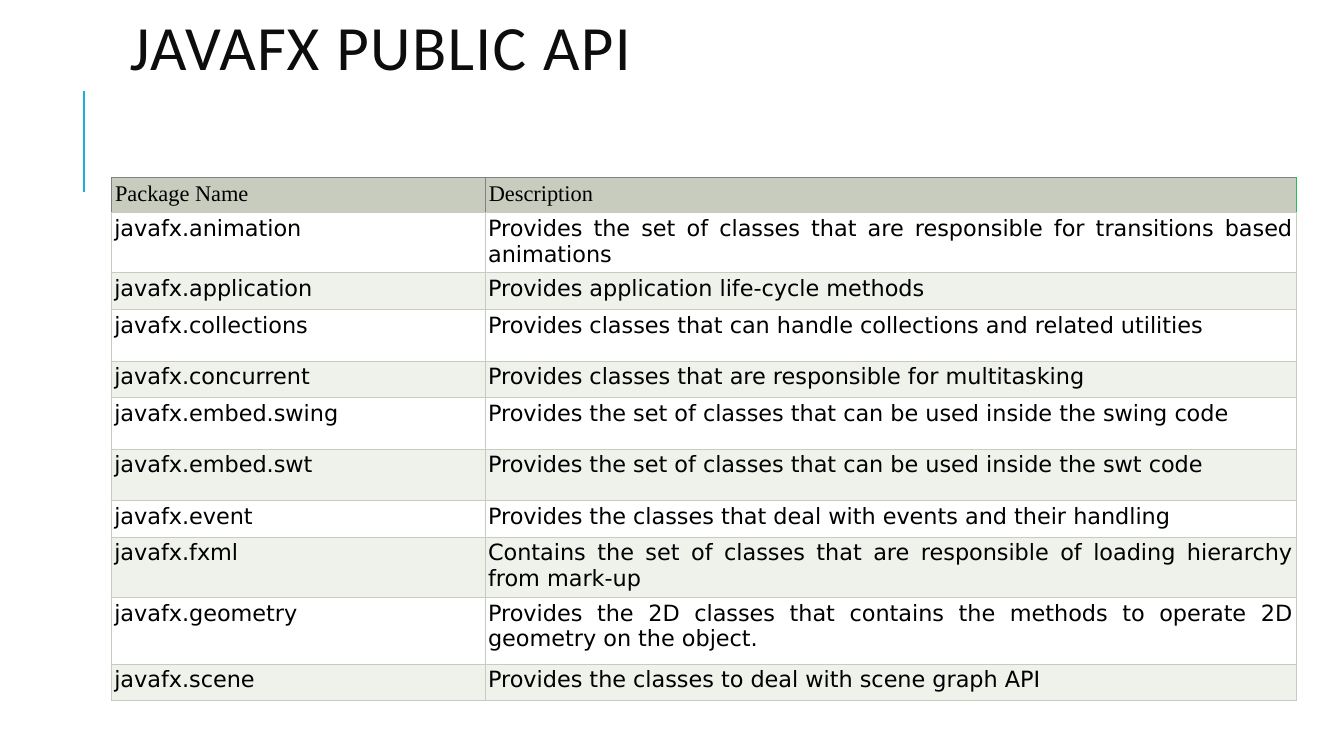
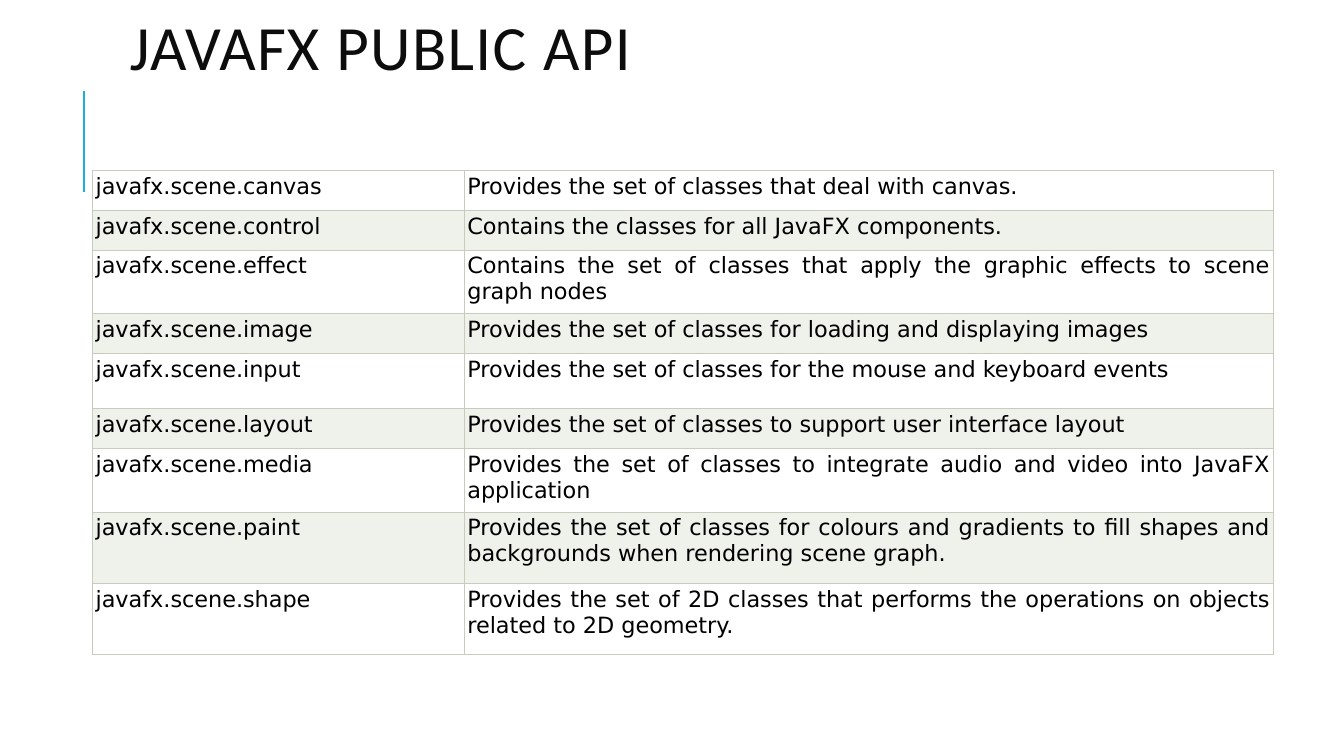
from lxml import etree
from pptx import Presentation
from pptx.dml.color import RGBColor
from pptx.enum.shapes import MSO_CONNECTOR
from pptx.enum.text import MSO_ANCHOR, PP_ALIGN
from pptx.oxml.ns import qn
from pptx.util import Cm, Pt

STRAIGHT = MSO_CONNECTOR.STRAIGHT
TOP = MSO_ANCHOR.TOP
LEFT, JUSTIFY = PP_ALIGN.LEFT, PP_ALIGN.JUSTIFY

WHITE = RGBColor(0xFF, 0xFF, 0xFF)
BLACK = RGBColor(0x00, 0x00, 0x00)
INK = RGBColor(0x0D, 0x0D, 0x0D)
BLUE = RGBColor(0x1C, 0xAD, 0xE4)
SAGE = RGBColor(0xC7, 0xCC, 0xBE)
PALE_SAGE = RGBColor(0xEF, 0xF1, 0xEB)
GREY = RGBColor(0x80, 0x80, 0x80)
GREEN = RGBColor(0x20, 0xC1, 0x59)

TITLE = "JAVAFX PUBLIC API"
HEADER = ("Package Name", "Description")

# Each row: package, description, row height in cm
CORE_PACKAGES = [
    ("javafx.animation", "Provides the set of classes that are responsible for "
     "transitions based animations", 1.3),
    ("javafx.application", "Provides application life-cycle methods", 0.92),
    ("javafx.collections", "Provides classes that can handle collections and "
     "related utilities", 1.3),
    ("javafx.concurrent", "Provides classes that are responsible for "
     "multitasking", 0.92),
    ("javafx.embed.swing", "Provides the set of classes that can be used inside "
     "the swing code", 1.3),
    ("javafx.embed.swt", "Provides the set of classes that can be used inside "
     "the swt code", 1.3),
    ("javafx.event", "Provides the classes that deal with events and their "
     "handling", 0.92),
    ("javafx.fxml", "Contains the set of classes that are responsible of "
     "loading hierarchy from mark-up", 1.3),
    ("javafx.geometry", "Provides the 2D classes that contains the methods to "
     "operate 2D geometry on the object.", 1.68),
    ("javafx.scene", "Provides the classes to deal with scene graph API", 0.92),
]
SCENE_PACKAGES = [
    ("javafx.scene.canvas", "Provides the set of classes that deal with "
     "canvas.", 1),
    ("javafx.scene.control", "Contains the classes for all JavaFX "
     "components.", 1),
    ("javafx.scene.effect", "Contains the set of classes that apply the graphic "
     "effects to scene graph nodes", 1.6),
    ("javafx.scene.image", "Provides the set of classes for loading and "
     "displaying images", 1),
    ("javafx.scene.input", "Provides the set of classes for the mouse and "
     "keyboard events", 1.4),
    ("javafx.scene.layout", "Provides the set of classes to support user "
     "interface layout", 1),
    ("javafx.scene.media", "Provides the set of classes to integrate audio and "
     "video into JavaFX application", 1.6),
    ("javafx.scene.paint", "Provides the set of classes for colours and "
     "gradients to fill shapes and backgrounds when rendering scene graph.", 1.8),
    ("javafx.scene.shape", "Provides the set of 2D classes that performs the "
     "operations on objects related to 2D geometry.", 1.8),
]


class Deck:
    """Shared style and the slide being filled."""

    title_font = "Calibri"
    head_font = "Times New Roman"
    body_font = "DejaVu Sans"
    body_size = Pt(16)
    border_width = Pt(0.6)

    def __init__(self):
        self.prs = Presentation()
        self.prs.slide_width, self.prs.slide_height = Cm(33.87), Cm(19.05)
        self.s = None

    def add_slide(self, title):
        self.s = self.prs.slides.add_slide(self.prs.slide_layouts[6])
        self.accent_line()
        self.title(title)

    def accent_line(self):
        line = self.s.shapes.add_connector(
            STRAIGHT, Cm(2.12), Cm(4.83), Cm(2.12), Cm(2.3))
        line.line.color.rgb = BLUE
        line.line.width = Pt(1.5)
        etree.SubElement(line.element.spPr, qn("a:effectLst"))

    def title(self, text):
        sp = self.s.shapes.add_textbox(Cm(3.02), Cm(0.56), Cm(27), Cm(1.6))
        tf = sp.text_frame
        tf.word_wrap = True
        tf.vertical_anchor = TOP
        tf.margin_top = tf.margin_bottom = 0
        tf.text = text
        p = tf.paragraphs[0]
        p.line_spacing = 0.8
        r = p.runs[0]
        self.style_run(r, self.title_font, Pt(45), INK)
        r.font._element.set("spc", "100")

    def table(self, left, top, widths, packages, header=None):
        rows = len(packages) + bool(header)
        frame = self.s.shapes.add_table(
            rows, len(widths), Cm(left), Cm(top), Cm(sum(widths)), Cm(rows))
        table = frame.table
        table.first_row = table.horz_banding = False
        for column, width in zip(table.columns, widths):
            column.width = Cm(width)

        if header:
            table.rows[0].height = Cm(0.64)
            edges = ((GREY, GREY, GREY, SAGE), (GREY, GREEN, GREY, SAGE))
            for cell, text, colors in zip(table.rows[0].cells, header, edges):
                self.cell(cell, text, self.head_font, SAGE, LEFT, 0.1, colors)

        for i, (*texts, height) in enumerate(packages):
            row = table.rows[i + bool(header)]
            row.height = Cm(height)
            fill = PALE_SAGE if i % 2 else WHITE
            tops = GREY if header is None and False else SAGE
            for cell, text in zip(row.cells, texts):
                self.cell(cell, text, self.body_font, fill, JUSTIFY, 0.08,
                          (SAGE, SAGE, tops, SAGE))

    def cell(self, cell, text, font, fill, align, margin, edges):
        """Fill one cell; edges are the left, right, top and bottom colours."""
        cell.margin_left = cell.margin_right = Cm(margin)
        cell.margin_top = cell.margin_bottom = Cm(margin)
        cell.fill.solid()
        cell.fill.fore_color.rgb = fill
        cell.text = text
        p = cell.text_frame.paragraphs[0]
        p.alignment = align
        self.style_run(p.runs[0], font, self.body_size, BLACK)
        self.borders(cell, edges)

    def borders(self, cell, edges):
        tc_pr = cell._tc.get_or_add_tcPr()
        for i, (side, color) in enumerate(zip("LRTB", edges)):
            ln = etree.Element(qn(f"a:ln{side}"), w=str(self.border_width))
            solid = etree.SubElement(ln, qn("a:solidFill"))
            etree.SubElement(solid, qn("a:srgbClr"), val=str(color))
            tc_pr.insert(i, ln)

    @staticmethod
    def style_run(r, font, size, color):
        r.font.name = font
        r.font.size = size
        r.font.color.rgb = color


def main():
    deck = Deck()
    deck.add_slide(TITLE)
    deck.table(2.8, 4.48, (9.42, 20.45), CORE_PACKAGES, HEADER)
    deck.add_slide(TITLE)
    deck.table(2.33, 4.3, (9.37, 20.4), SCENE_PACKAGES)
    deck.prs.save("out.pptx")


if __name__ == "__main__":
    main()
